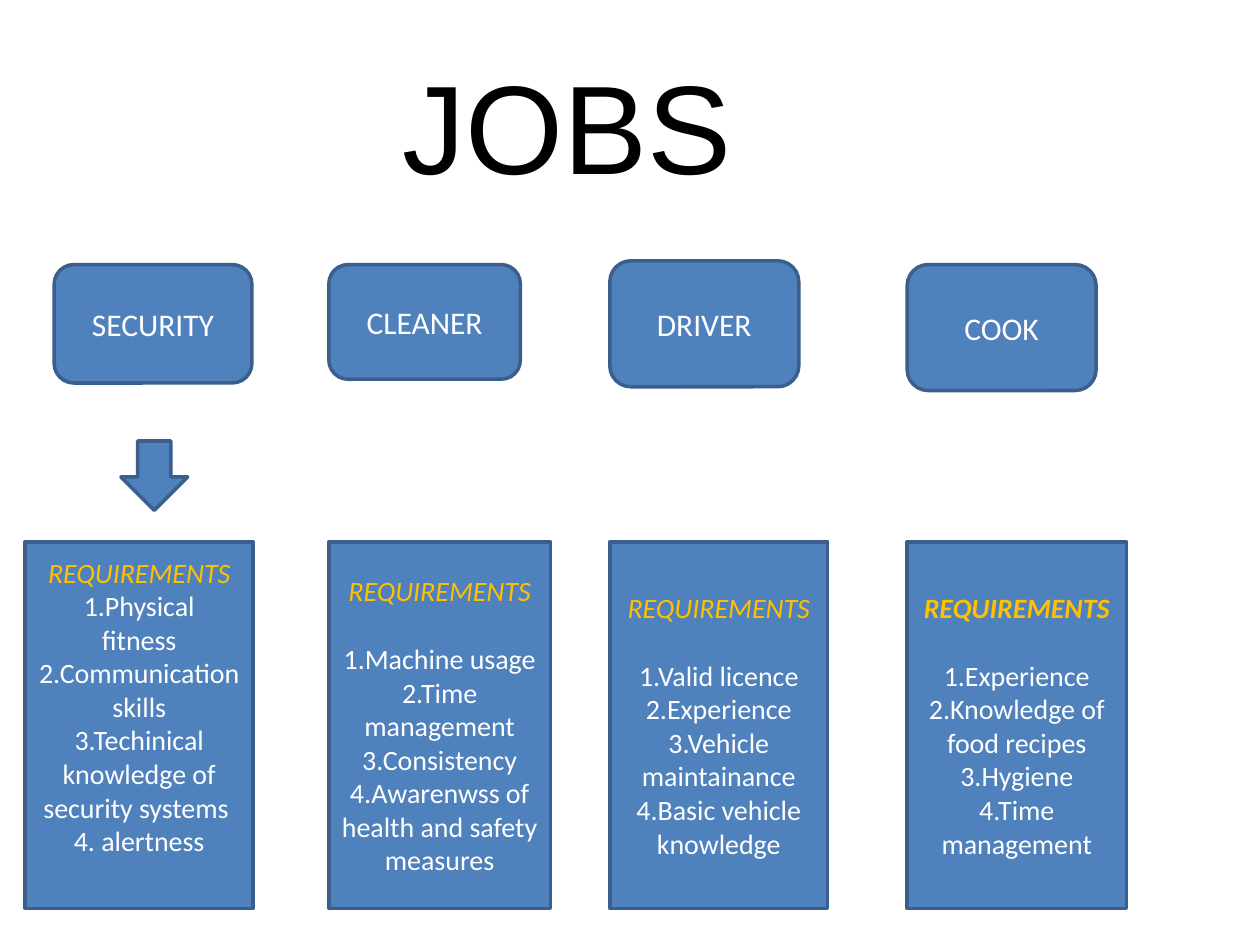
from pptx import Presentation
from pptx.dml.color import RGBColor
from pptx.enum.shapes import MSO_SHAPE as Shape
from pptx.enum.text import MSO_ANCHOR as Anchor, PP_ALIGN as Align
from pptx.util import Inches, Pt

COLORS = {"fill": "4F81BD", "line": "3A5F8C", "text": "FFFFFF",
          "heading": "FFC000", "title": "000000"}


def add_shape(kind, left, top, width, height):
    shape = page.shapes.add_shape(
        kind, Inches(left), Inches(top), Inches(width), Inches(height))
    shape.shadow.inherit = False
    shape.fill.solid()
    shape.fill.fore_color.rgb = RGBColor.from_string(COLORS["fill"])
    shape.line.color.rgb = RGBColor.from_string(COLORS["line"])
    shape.line.width = Pt(2)
    return shape


def write(box, text, size=18, color="text", font="Calibri",
          bold=False, italic=False, after=0):
    frame = box.text_frame
    frame.word_wrap = True
    frame.vertical_anchor = Anchor.MIDDLE
    para = frame.add_paragraph() if frame.text else frame.paragraphs[0]
    para.alignment = Align.CENTER
    para.space_after = Pt(after)
    span = para.add_run()
    span.text = text
    span.font.name = font
    span.font.size = Pt(size)
    span.font.bold = bold
    span.font.italic = italic
    span.font.color.rgb = RGBColor.from_string(COLORS[color])


deck = Presentation()
deck.slide_width = Inches(10)
deck.slide_height = Inches(7.5)
page = deck.slides.add_slide(deck.slide_layouts[6])

title = page.shapes.add_textbox(Inches(0), Inches(0.36), Inches(9), Inches(1.25))
write(title, "JOBS", size=72, color="title", font="Arial")

jobs = [
    ("SECURITY", (0.43, 2.1, 1.57, 0.94), (0.2, 1.81),
     ["1.Physical", "fitness", "2.Communication skills",
      "3.Techinical knowledge of security systems ", "4. alertness"]),
    ("CLEANER", (2.61, 2.1, 1.52, 0.91), (2.61, 1.76),
     ["1.Machine usage", "2.Time management", "3.Consistency",
      "4.Awarenwss of health and safety measures"]),
    ("DRIVER", (4.84, 2.07, 1.5, 1), (4.84, 1.73),
     ["1.Valid licence", "2.Experience", "3.Vehicle maintainance",
      "4.Basic vehicle knowledge"]),
    ("COOK", (7.2, 2.1, 1.5, 1), (7.2, 1.74),
     ["1.Experience", "2.Knowledge of food recipes", "3.Hygiene",
      "4.Time management"]),
]

for job, place, (left, width), requirements in jobs:
    write(add_shape(Shape.ROUNDED_RECTANGLE, *place), job)
    card = add_shape(Shape.RECTANGLE, left, 4.3, width, 2.91)
    is_first = job == "SECURITY"
    if is_first:
        card.text_frame.margin_bottom = Inches(0.35)
    write(card, "REQUIREMENTS", size=16, color="heading", italic=True,
          bold=job == "COOK", after=0 if is_first else 19.5)
    for requirement in requirements:
        write(card, requirement, size=16)

add_shape(Shape.DOWN_ARROW, 0.96, 3.5, 0.53, 0.55)

deck.save("out.pptx")
